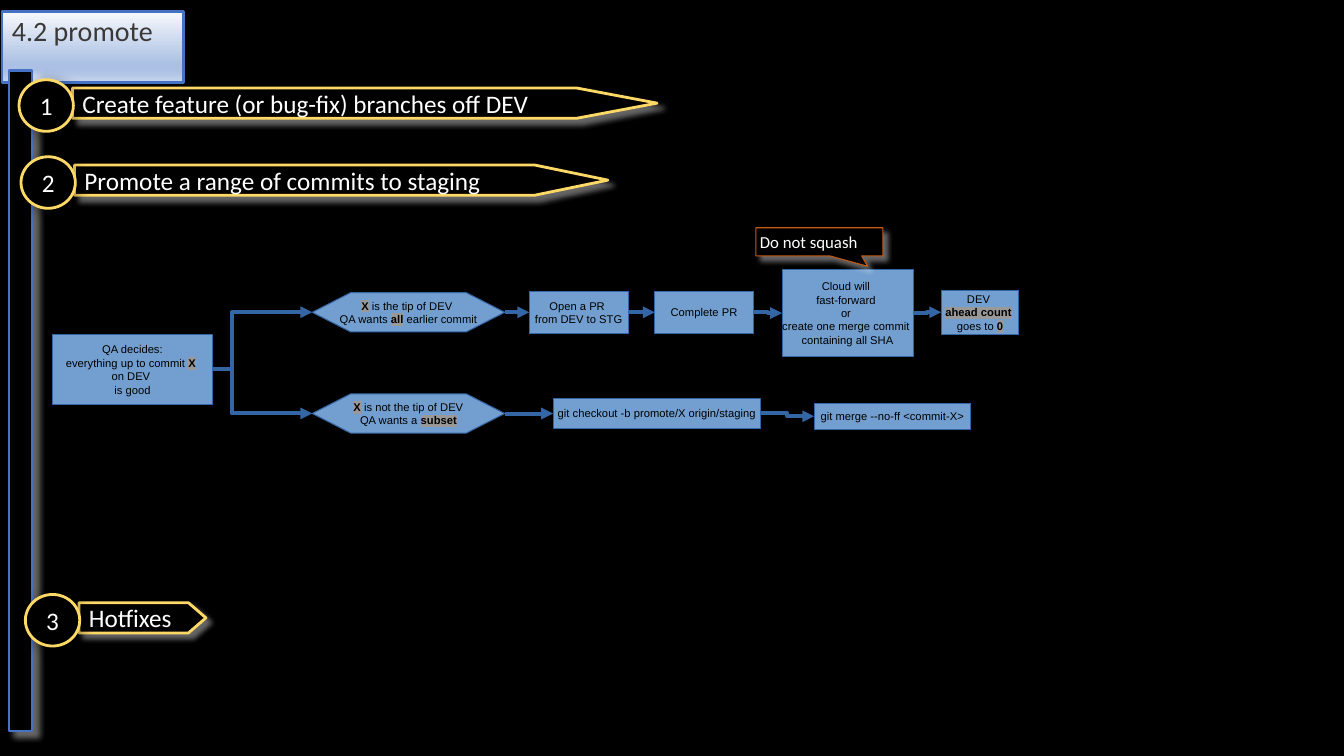
from dataclasses import dataclass

import pptx
import pptx.dml.color
import pptx.enum.shapes
import pptx.enum.text
import pptx.oxml
import pptx.oxml.ns
import pptx.util

Cm = pptx.util.Cm
Pt = pptx.util.Pt
MSO = pptx.enum.shapes.MSO_SHAPE
ALIGN = pptx.enum.text.PP_ALIGN
ANCHOR = pptx.enum.text.MSO_ANCHOR
NS = pptx.oxml.ns.nsdecls("a")


@dataclass(frozen=True)
class Theme:
    black: str = "000000"
    white: str = "FFFFFF"
    title_text: str = "3B3838"
    rail: str = "4472C4"
    gold: str = "FFD966"
    callout: str = "C55A11"
    node: str = "729FCF"
    flow: str = "3465A4"
    highlight: str = "999999"
    title_stops: tuple = ((0, "F6F8FC"), (74, "ABC0E4"), (83, "ABC0E4"), (100, "C7D5ED"))
    title_font: str = "Calibri"
    node_font: str = "Arial"
    title_size: float = 20
    step_size: float = 18
    callout_size: float = 12
    node_size: float = 8
    outline: float = 2
    flow_width: float = 2.83


THEME = Theme()


def rgb(color):
    return pptx.dml.color.RGBColor.from_string(color)


def style(sp, fill, line, width):
    sp.shadow.inherit = False
    sp.fill.solid()
    sp.fill.fore_color.rgb = rgb(fill)
    sp.line.color.rgb = rgb(line)
    sp.line.width = Pt(width)


def add_shadow(sp, color=THEME.white, blur=4, dist=5):
    effects = sp._element.spPr.find(pptx.oxml.ns.qn("a:effectLst"))
    effects.append(pptx.oxml.parse_xml(
        f'<a:outerShdw {NS} blurRad="{Pt(blur)}" dist="{Pt(dist)}" dir="2700000" '
        f'algn="tl" rotWithShape="0"><a:srgbClr val="{color}">'
        f'<a:alpha val="40000"/></a:srgbClr></a:outerShdw>'))


def set_frame(sp, anchor, insets, wrap=True):
    tf = sp.text_frame
    tf.word_wrap = wrap
    tf.vertical_anchor = anchor
    tf.margin_left, tf.margin_top, tf.margin_right, tf.margin_bottom = map(Cm, insets)
    return tf


def format_run(r, font, size, color):
    r.font.name = font
    r.font.size = Pt(size)
    r.font.color.rgb = rgb(color)


def set_label(sp, text, size, align, anchor, insets):
    p = set_frame(sp, anchor, insets).paragraphs[0]
    p.text = text
    p.alignment = align
    format_run(p.runs[0], THEME.title_font, size, THEME.white)


def highlight(r):
    r.font.bold = True
    fill = r._r.rPr.find(pptx.oxml.ns.qn("a:solidFill"))
    fill.addnext(pptx.oxml.parse_xml(
        f'<a:highlight {NS}><a:srgbClr val="{THEME.highlight}"/></a:highlight>'))


def add_title(s, text):
    sp = s.shapes.title
    sp.left, sp.top, sp.width, sp.height = Cm(0.05), Cm(0.3), Cm(4.57), Cm(1.78)
    sp.fill.gradient()
    sp.fill.gradient_angle = 270
    stops = sp._element.spPr.find(".//" + pptx.oxml.ns.qn("a:gsLst"))
    for stop in list(stops):
        stops.remove(stop)
    for pos, color in THEME.title_stops:
        stops.append(pptx.oxml.parse_xml(
            f'<a:gs {NS} pos="{pos * 1000}"><a:srgbClr val="{color}"/></a:gs>'))
    sp.line.color.rgb = rgb(THEME.rail)
    sp.line.width = Pt(THEME.outline)
    tf = set_frame(sp, ANCHOR.TOP, (0.25, 0.13, 0.25, 0.13))
    tf.auto_size = pptx.enum.text.MSO_AUTO_SIZE.NONE
    p = tf.paragraphs[0]
    p.text = text
    p.alignment = ALIGN.LEFT
    p.line_spacing = 0.9
    format_run(p.runs[0], THEME.title_font, THEME.title_size, THEME.title_text)


def add_rail(s):
    sp = s.shapes.add_shape(MSO.RECTANGLE, Cm(0.23), Cm(1.78), Cm(0.58), Cm(16.64))
    style(sp, THEME.black, THEME.rail, THEME.outline)
    add_shadow(sp)


def add_step(s, number, text, left, top, width):
    # Pointed banner
    x, y, h = left + 1.35, top + 0.21, 0.76
    shoulder = x + 0.863 * width
    outline = [(shoulder, y), (x + width, y + h / 2), (shoulder, y + h), (x, y + h)]
    builder = s.shapes.build_freeform(Cm(x), Cm(y))
    builder.add_line_segments([(Cm(px), Cm(py)) for px, py in outline], close=True)
    sp = builder.convert_to_shape()
    style(sp, THEME.black, THEME.gold, THEME.outline)
    add_shadow(sp)
    set_label(sp, text, THEME.step_size, ALIGN.LEFT, ANCHOR.MIDDLE, (0.25, 0, 0.2, 0))
    # Numbered circle
    sp = s.shapes.add_shape(MSO.OVAL, Cm(left), Cm(top), Cm(1.37), Cm(1.3))
    style(sp, THEME.black, THEME.gold, THEME.outline)
    add_shadow(sp, THEME.black, 10, 3)
    set_label(sp, str(number), THEME.step_size, ALIGN.CENTER, ANCHOR.MIDDLE,
              (0.25, 0.13, 0.25, 0.13))


def add_node(s, lines, left, middle, width, height, kind=MSO.FLOWCHART_PROCESS):
    """Add a flow box; text between asterisks is bold and highlighted."""
    sp = s.shapes.add_shape(kind, Cm(left), Cm(middle - height / 2), Cm(width), Cm(height))
    style(sp, THEME.node, THEME.flow, 0)
    tf = set_frame(sp, ANCHOR.MIDDLE, (0, 0, 0, 0), wrap=False)
    tf.text = "\n".join(line.replace("*", "") for line in lines)
    for p, line in zip(tf.paragraphs, lines):
        p.clear()
        p.alignment = ALIGN.CENTER
        for i, part in enumerate(line.split("*")):
            if part:
                r = p.add_run()
                r.text = part
                format_run(r, THEME.node_font, THEME.node_size, THEME.black)
                if i % 2:
                    highlight(r)
    return sp


def add_arrow(s, start, end, bend=0.5):
    cxn = s.shapes.add_connector(pptx.enum.shapes.MSO_CONNECTOR.ELBOW, 0, 0, 0, 0)
    cxn.begin_connect(start, 3)
    cxn.end_connect(end, 1)
    cxn.line.color.rgb = rgb(THEME.flow)
    cxn.line.width = Pt(THEME.flow_width)
    cxn.line._ln.append(pptx.oxml.parse_xml(f'<a:tailEnd {NS} type="triangle"/>'))
    spPr = cxn._element.spPr
    spPr.append(pptx.oxml.parse_xml(f"<a:effectLst {NS}/>"))
    spPr.find(".//" + pptx.oxml.ns.qn("a:avLst")).append(pptx.oxml.parse_xml(
        f'<a:gd {NS} name="adj1" fmla="val {round(bend * 100000)}"/>'))


def add_callout(s, text):
    sp = s.shapes.add_shape(MSO.RECTANGULAR_CALLOUT, Cm(19.05), Cm(5.74), Cm(3.2), Cm(0.71))
    sp.adjustments[0], sp.adjustments[1] = 0.38, 0.865
    style(sp, THEME.black, THEME.callout, 0)
    add_shadow(sp)
    set_label(sp, text, THEME.callout_size, ALIGN.LEFT, ANCHOR.TOP, (0.1, 0.1, 0.1, 0.1))


def add_flow(s):
    upper, lower, hexagon = 7.87, 10.42, MSO.FLOWCHART_PREPARATION
    decision = add_node(s, ["QA decides:", "everything up to commit *X* ", "on DEV ", "is good"],
                        1.32, 9.31, 4.04, 1.75)
    # Tip of DEV: pull request
    whole = [
        add_node(s, ["*X* is the tip of DEV ", "QA wants *all* earlier commit"],
                 7.87, upper, 4.85, 0.99, hexagon),
        add_node(s, ["Open a PR ", "from DEV to STG"], 13.34, upper, 2.49, 1.07),
        add_node(s, ["Complete PR"], 16.5, upper, 2.49, 1.07),
        add_node(s, ["Cloud will ", "fast-forward ", "or ", "create one merge commit ",
                     "containing all SHA"], 19.71, upper + 0.02, 3.3, 2.18),
        add_node(s, ["DEV ", "*ahead count* ", "goes to *0*"], 23.72, upper, 1.96, 1.12),
    ]
    # Subset of DEV: promotion branch
    subset = [
        add_node(s, ["*X* is not the tip of DEV", "QA wants a *subset*"],
                 7.87, lower, 4.85, 0.99, hexagon),
        add_node(s, ["git checkout -b promote/X origin/staging"], 13.94, lower, 5.23, 0.74),
        add_node(s, ["git merge --no-ff <commit-X>"], 20.52, 10.49, 3.94, 0.66),
    ]
    for branch in (whole, subset):
        add_arrow(s, decision, branch[0], 0.195)
        for start, end in zip(branch, branch[1:]):
            add_arrow(s, start, end)


def main():
    prs = pptx.Presentation()
    prs.slide_width, prs.slide_height = Cm(33.87), Cm(19.05)
    s = prs.slides.add_slide(prs.slide_layouts[5])
    s.background.fill.solid()
    s.background.fill.fore_color.rgb = rgb(THEME.black)
    add_title(s, "4.2 promote")
    add_rail(s)
    add_step(s, 1, "Create feature (or bug-fix) branches off DEV", 0.48, 2.01, 14.73)
    add_step(s, 2, "Promote a range of commits to staging", 0.53, 3.95, 13.44)
    add_step(s, 3, "Hotfixes", 0.64, 14.98, 3.2)
    add_flow(s)
    add_callout(s, "Do not squash")
    prs.save("out.pptx")


if __name__ == "__main__":
    main()
